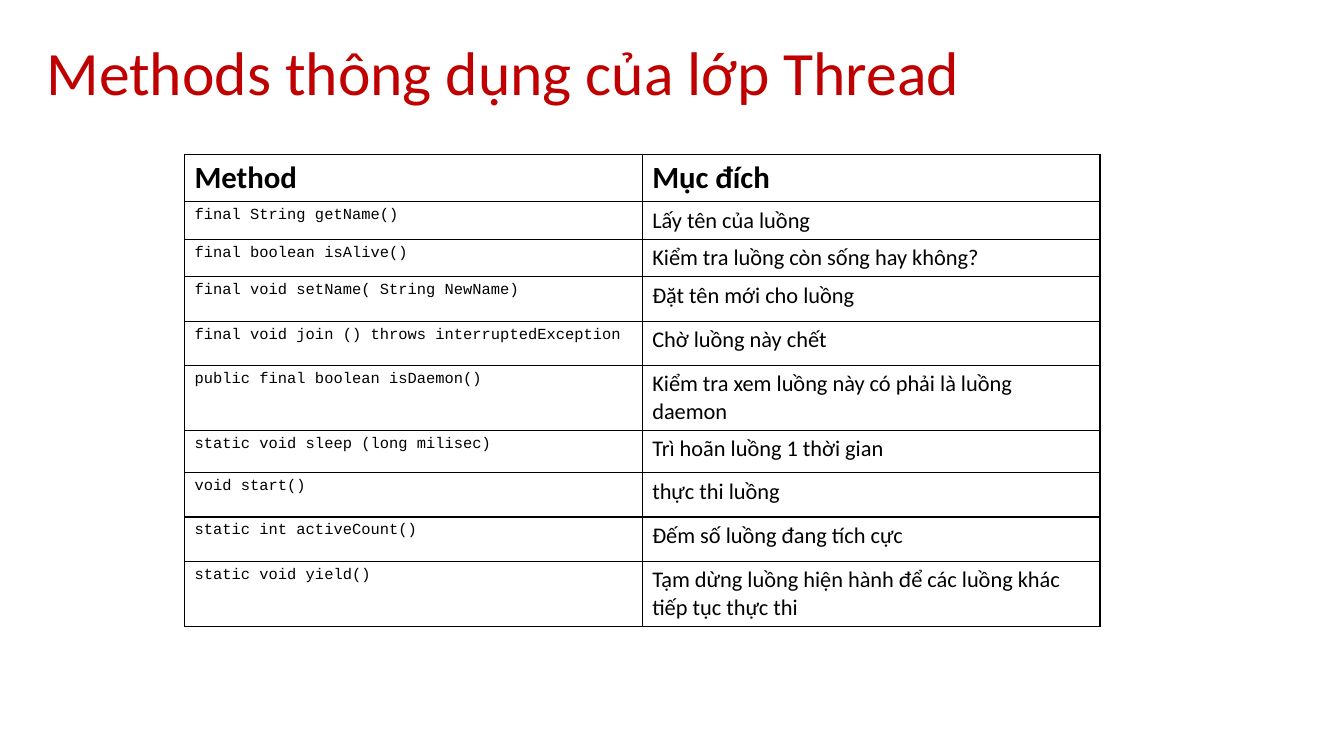
from dataclasses import dataclass

from lxml.etree import SubElement
from pptx import Presentation
from pptx.dml.color import RGBColor
from pptx.enum.text import MSO_ANCHOR as Anchor, PP_ALIGN as Align
from pptx.oxml.ns import qn
from pptx.table import _Cell as Cell
from pptx.text.text import _Paragraph as Paragraph
from pptx.util import Emu, Pt

EMU_PER_PX = 9144
BLACK, TITLE_RED = "000000", "C00000"
HANGING_PX = 38


@dataclass(frozen=True)
class TextStyle:
    """Font settings of one kind of text."""
    font: str
    size: int
    color: str = BLACK
    bold: bool = False


@dataclass(frozen=True)
class MethodRow:
    """One table row: a method, its purpose and the row height in px."""
    method: str
    purpose: str
    height: int
    hanging: bool = False


TITLE = TextStyle("Calibri", 44, TITLE_RED)
HEADING = TextStyle("Calibri", 22, bold=True)
CODE = TextStyle("Courier New", 11)
PURPOSE = TextStyle("Calibri", 16)

ROWS = [
    MethodRow("Method", "Mục đích", 39, True),
    MethodRow("final String getName()", "Lấy tên của luồng", 36, True),
    MethodRow("final boolean isAlive()", "Kiểm tra luồng còn sống hay không?", 36, True),
    MethodRow("final void setName( String NewName)", "Đặt tên mới cho luồng", 44, True),
    MethodRow("final void join () throws interruptedException", "Chờ luồng này chết", 44, True),
    MethodRow("public final boolean isDaemon()",
              "Kiểm tra xem luồng này có phải là luồng daemon", 56),
    MethodRow("static void sleep (long milisec)", "Trì hoãn luồng 1 thời gian", 42),
    MethodRow("void start()", "thực thi luồng", 44),
    MethodRow("static int activeCount()", "Đếm số luồng đang tích cực", 44),
    MethodRow("static void yield()",
              "Tạm dừng luồng hiện hành để các luồng khác tiếp tục thực thi", 63),
]


def px(length: int) -> Emu:
    """Turn px into EMU."""
    return Emu(length * EMU_PER_PX)


def rgb(color: str) -> RGBColor:
    """Turn a hex string into a colour."""
    return RGBColor.from_string(color)


def write(paragraph: Paragraph, text: str, style: TextStyle) -> None:
    """Set the text of a paragraph and format its run."""
    paragraph.text = text
    font = paragraph.runs[0].font
    font.name, font.size, font.bold = style.font, Pt(style.size), style.bold
    font.color.rgb = rgb(style.color)


def add_borders(cell: Cell) -> None:
    """Give a cell a thin black line on every side."""
    properties = cell._tc.get_or_add_tcPr()
    for side in ("lnL", "lnR", "lnT", "lnB"):
        line = SubElement(properties, qn(f"a:{side}"), w=str(Pt(1)))
        fill = SubElement(line, qn("a:solidFill"))
        SubElement(fill, qn("a:srgbClr"), val=BLACK)


def fill_cell(cell: Cell, text: str, style: TextStyle, hanging: bool) -> None:
    """Write one bordered table cell."""
    add_borders(cell)
    cell.fill.background()
    cell.margin_left = cell.margin_right = px(10)
    cell.margin_top = cell.margin_bottom = px(5)
    paragraph = cell.text_frame.paragraphs[0]
    write(paragraph, text, style)
    paragraph.alignment = Align.JUSTIFY if style is HEADING else Align.LEFT
    if hanging:
        properties = paragraph._p.get_or_add_pPr()
        properties.set("marL", str(px(HANGING_PX)))
        properties.set("indent", str(-px(HANGING_PX)))


def add_title(slide, text: str) -> None:
    """Add the slide heading."""
    frame = slide.shapes.add_textbox(px(46), px(41), px(1085), px(70)).text_frame
    frame.word_wrap = True
    frame.vertical_anchor = Anchor.MIDDLE
    frame.margin_left = frame.margin_right = frame.margin_top = frame.margin_bottom = 0
    write(frame.paragraphs[0], text, TITLE)
    frame.paragraphs[0].line_spacing = 0.85


def add_methods(slide, rows: list[MethodRow]) -> None:
    """Add the table of methods and their purposes."""
    height = sum(row.height for row in rows)
    table = slide.shapes.add_table(len(rows), 2, px(183), px(153), px(908), px(height)).table
    table.first_row = table.horz_banding = False
    for index, row in enumerate(rows):
        table.rows[index].height = px(row.height)
        styles = (CODE, PURPOSE) if index else (HEADING, HEADING)
        for column, (text, style) in enumerate(zip((row.method, row.purpose), styles)):
            fill_cell(table.cell(index, column), text, style, row.hanging)


def main() -> None:
    """Build and save the slide."""
    deck = Presentation()
    deck.slide_width, deck.slide_height = px(1333), px(750)
    slide = deck.slides.add_slide(deck.slide_layouts[6])
    add_methods(slide, ROWS)
    add_title(slide, "Methods thông dụng của lớp Thread")
    deck.save("out.pptx")


if __name__ == "__main__":
    main()
